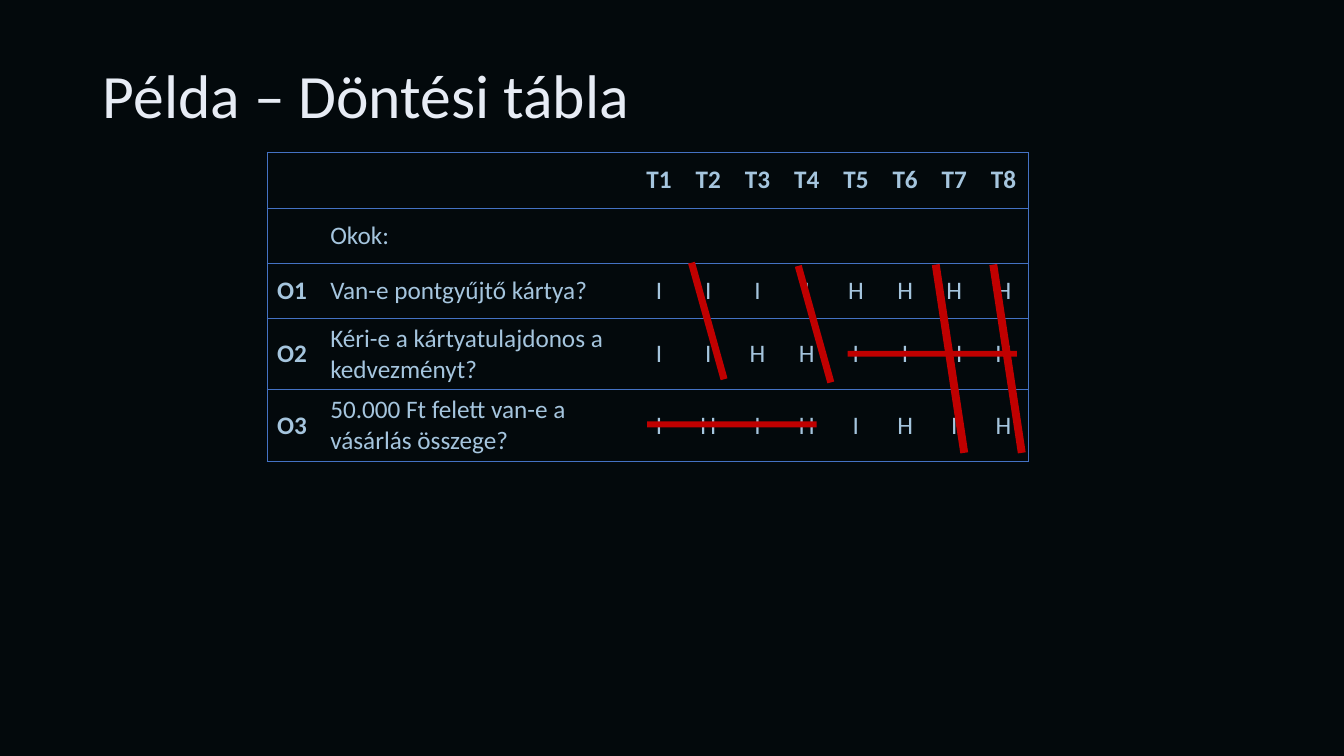
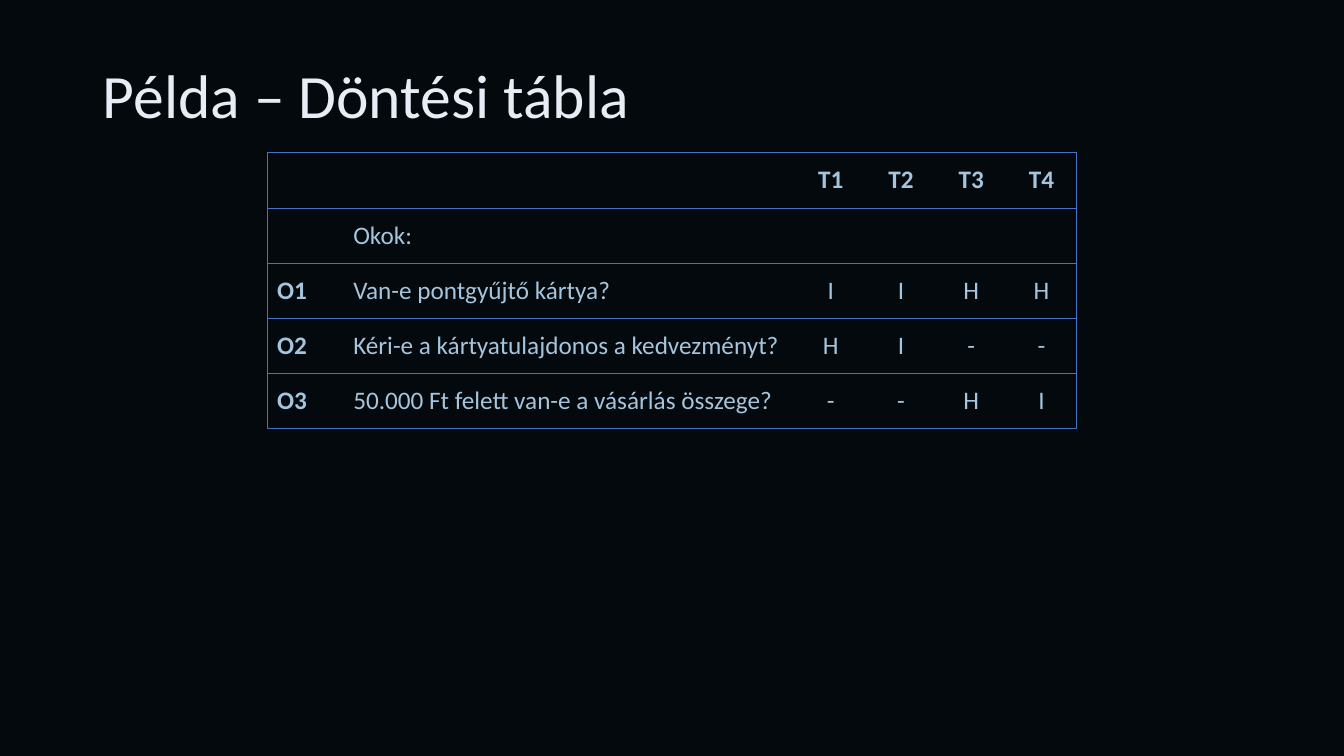
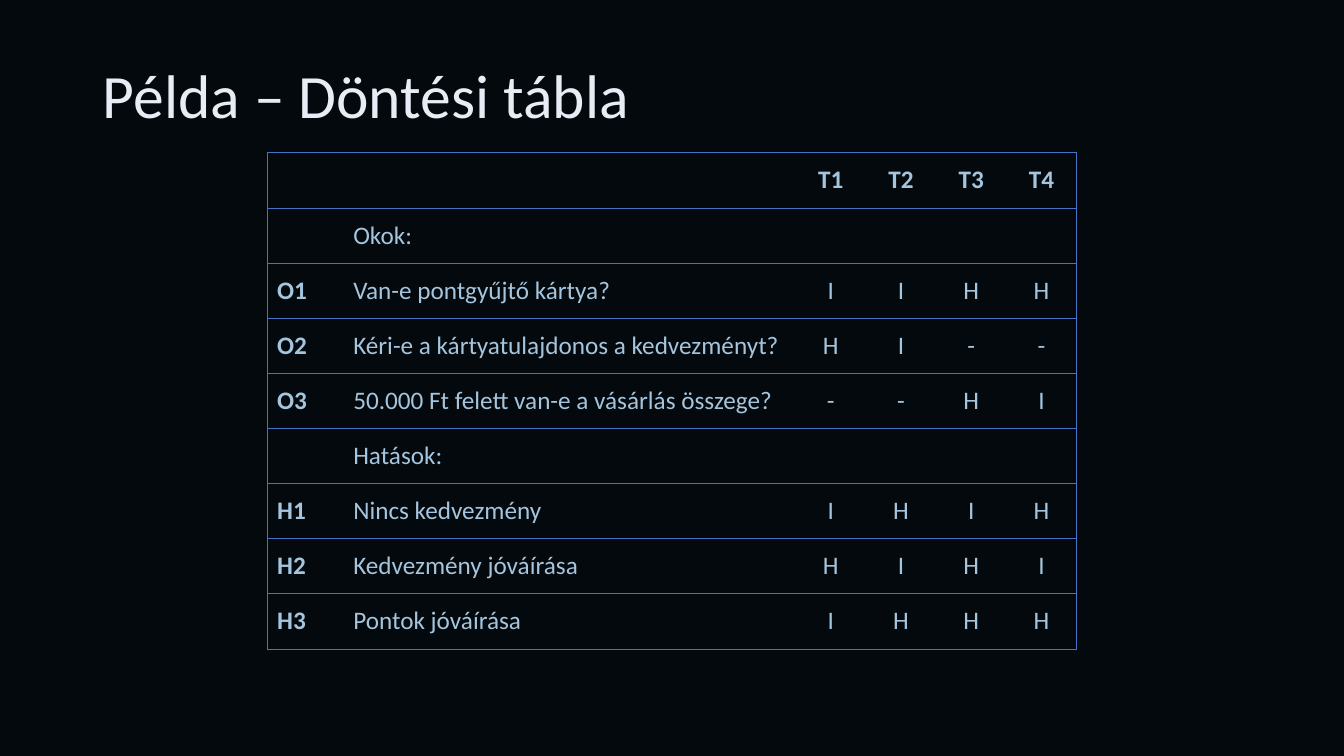
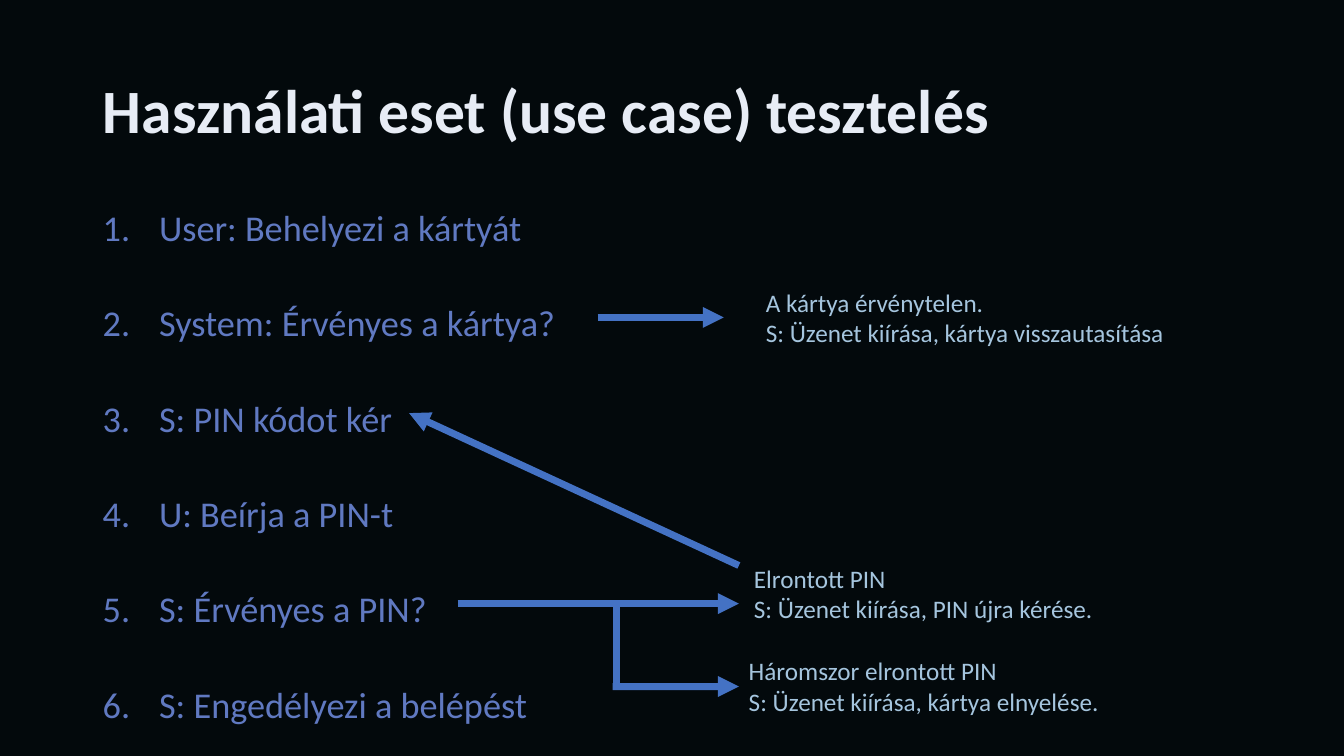
import pptx
import pptx.dml.color
import pptx.enum.shapes
import pptx.enum.text
import pptx.oxml
import pptx.oxml.ns
import pptx.util

Cm = pptx.util.Cm
Pt = pptx.util.Pt
qn = pptx.oxml.ns.qn
RGB = pptx.dml.color.RGBColor.from_string
SHAPE = pptx.enum.shapes.MSO_SHAPE
ALIGN = pptx.enum.text.PP_ALIGN
MIDDLE = pptx.enum.text.MSO_ANCHOR.MIDDLE
FIT = pptx.enum.text.MSO_AUTO_SIZE


class Theme:
    font = "Calibri"
    back, title, text = "03090C", "E7ECF5", "A5C5DE"
    list, line, strike = "6079C1", "4472C4", "C00000"
    big, mid, small = 44, 25.9, 18
    rule, arrow = 0.5, 5


deck = pptx.Presentation()
deck.slide_width, deck.slide_height = Cm(33.87), Cm(19.05)
fill = deck.slide_master.background.fill
fill.solid()
fill.fore_color.rgb = RGB(Theme.back)


def ink(para, size, color, bold=False):
    for run in para.runs:
        font = run.font
        font.name, font.size, font.bold = Theme.font, Pt(size), bold
        font.color.rgb = RGB(color)


def page(title, top, bold=False):
    """Add a slide whose title ends 4.7 cm from the top edge."""
    slide = deck.slides.add_slide(deck.slide_layouts[5])
    head = slide.shapes.title
    head.left, head.top = Cm(2.34), Cm(top)
    head.width, head.height = Cm(29.21), Cm(4.7 - top)
    frame = head.text_frame
    frame.text = title
    frame.vertical_anchor = MIDDLE
    frame.auto_size = FIT.NONE
    para = frame.paragraphs[0]
    para.alignment, para.line_spacing = ALIGN.LEFT, 0.9
    ink(para, Theme.big, Theme.title, bold)
    return slide


# Decision tables: key, question, one mark per test
asks = [
    "Van-e pontgyűjtő kártya?",
    "Kéri-e a kártyatulajdonos a kedvezményt?",
    "50.000 Ft felett van-e a vásárlás összege?",
]
causes = ("", "Okok:", "")
full = [causes] + [
    (f"O{n}", ask, marks)
    for n, (ask, marks) in enumerate(zip(asks, ["IIIIHHHH", "IIHHIIHH", "IHIHIHIH"]), 1)
]
short = [causes] + [
    (f"O{n}", ask, marks)
    for n, (ask, marks) in enumerate(zip(asks, ["IIHH", "HI--", "--HI"]), 1)
]
effects = [
    ("", "Hatások:", ""),
    ("H1", "Nincs kedvezmény", "IHIH"),
    ("H2", "Kedvezmény jóváírása", "HIHI"),
    ("H3", "Pontok jóváírása", "IHHH"),
]

# Rows, number of tests, column widths (key, question, test), tall rows
tables = [
    (full, 8, (1.34, 7.92, 1.24), (3, 4)),
    (short, 4, (1.92, 11.4, 1.77), ()),
    (short + effects, 4, (1.92, 11.4, 1.77), ()),
]
for rows, tests, (key, ask, mark), tall in tables:
    slide = page("Példa – Döntési tábla", 0.25)
    grid = [["", ""] + [f"T{n}" for n in range(1, tests + 1)]]
    grid += [[name, text, *(marks or [""] * tests)] for name, text, marks in rows]
    widths = [key, ask] + [mark] * tests
    heights = [1.8 if r in tall else 1.39 for r in range(len(grid))]
    table = slide.shapes.add_table(
        len(grid), len(widths), Cm(6.73), Cm(3.85), Cm(sum(widths)), Cm(sum(heights))
    ).table
    table.first_row = table.horz_banding = False
    for col, width in zip(table.columns, widths):
        col.width = Cm(width)
    for row, height in zip(table.rows, heights):
        row.height = Cm(height)
    for r, row in enumerate(grid):
        for c, text in enumerate(row):
            cell = table.cell(r, c)
            cell.fill.background()
            cell.vertical_anchor = MIDDLE
            cell.text_frame.text = text
            para = cell.text_frame.paragraphs[0]
            para.alignment = ALIGN.CENTER if c > 1 else ALIGN.LEFT
            ink(para, Theme.small, Theme.text, r == 0 or c == 0)

            # Rules between rows and around the table only
            sides = {"L": c == 0, "R": c == len(row) - 1, "T": True, "B": True}
            props = cell._tc.get_or_add_tcPr()
            for spot, (side, shown) in enumerate(sides.items()):
                paint = "<a:noFill/>"
                if shown:
                    paint = f'<a:solidFill><a:srgbClr val="{Theme.line}"/></a:solidFill>'
                props.insert(spot, pptx.oxml.parse_xml(
                    f'<a:ln{side} {pptx.oxml.ns.nsdecls("a")} w="{Pt(Theme.rule)}">'
                    f"{paint}</a:ln{side}>"
                ))

# Red strikes over the first table: left, top, width, height, turn
strikes = [
    (16.31, 10.62, 4.27, 0.15, 0),
    (21.36, 8.84, 4.27, 0.15, 0),
    (16.31, 8, 3.05, 0.18, 74.4),
    (19, 8.08, 3.05, 0.18, 74.4),
    (21.54, 8.94, 4.8, 0.2, 81.4),
    (22.99, 8.94, 4.8, 0.2, 81.4),
]
for *box, turn in strikes:
    bar = deck.slides[0].shapes.add_shape(SHAPE.RECTANGLE, *map(Cm, box))
    bar.rotation = turn
    bar.shadow.inherit = False
    bar.fill.solid()
    bar.fill.fore_color.rgb = RGB(Theme.strike)
    bar.line.fill.background()

# Use case: numbered steps
slide = page("Használati eset (use case) tesztelés", 1.01, True)
steps = [
    "User: Behelyezi a kártyát",
    "System: Érvényes a kártya?",
    "S: PIN kódot kér",
    "U: Beírja a PIN-t",
    "S: Érvényes a PIN?",
    "S: Engedélyezi a belépést",
]
frame = slide.shapes.add_textbox(Cm(2.34), Cm(4.06), Cm(14.6), Cm(14.27)).text_frame
frame.word_wrap = True
frame.text = "\n".join(steps)
for n, para in enumerate(frame.paragraphs):
    para.line_spacing = 1.9
    if n:
        para.space_before = Pt(9)
    props = para._p.get_or_add_pPr()
    props.set("marL", str(Cm(1.42)))
    props.set("indent", str(-Cm(1.42)))
    props.append(pptx.oxml.parse_xml(
        f'<a:buAutoNum {pptx.oxml.ns.nsdecls("a")} type="arabicPeriod"/>'
    ))
    ink(para, Theme.mid, Theme.list)

# Side notes: left, top, width, lines
notes = [
    (19.05, 7.11, 10.64, "A kártya érvénytelen.\nS: Üzenet kiírása, kártya visszautasítása"),
    (18.75, 14.07, 9.14, "Elrontott PIN\nS: Üzenet kiírása, PIN újra kérése."),
    (18.62, 16.4, 9.42, "Háromszor elrontott PIN\nS: Üzenet kiírása, kártya elnyelése."),
]
for left, top, width, text in notes:
    note = slide.shapes.add_textbox(Cm(left), Cm(top), Cm(width), Cm(1.8))
    frame = note.text_frame
    frame.word_wrap = False
    frame.auto_size = FIT.SHAPE_TO_FIT_TEXT
    frame.text = text
    for para in frame.paragraphs:
        ink(para, Theme.small, Theme.text)

# Flow lines: from x, y, to x, y, arrowhead, box joined at its left side
flows = [
    (15.06, 8, 18.24, 8, True, None),
    (11.53, 15.21, 18.62, 15.21, True, None),
    (15.54, 15.21, 15.54, 17.3, False, None),
    (15.44, 17.3, 18.62, 17.3, True, note),
    (18.62, 14.25, 10.31, 10.41, True, None),
]
for *ends, arrow, goal in flows:
    flow = slide.shapes.add_connector(
        pptx.enum.shapes.MSO_CONNECTOR.STRAIGHT, *map(Cm, ends)
    )
    flow.line.color.rgb = RGB(Theme.line)
    flow.line.width = Pt(Theme.arrow)
    props = flow.element.spPr
    if arrow:
        props.find(qn("a:ln")).append(pptx.oxml.parse_xml(
            f'<a:tailEnd {pptx.oxml.ns.nsdecls("a")} type="triangle"/>'
        ))
    props.append(pptx.oxml.parse_xml(f'<a:effectLst {pptx.oxml.ns.nsdecls("a")}/>'))
    if goal:
        flow.end_connect(goal, 1)

deck.save("out.pptx")
